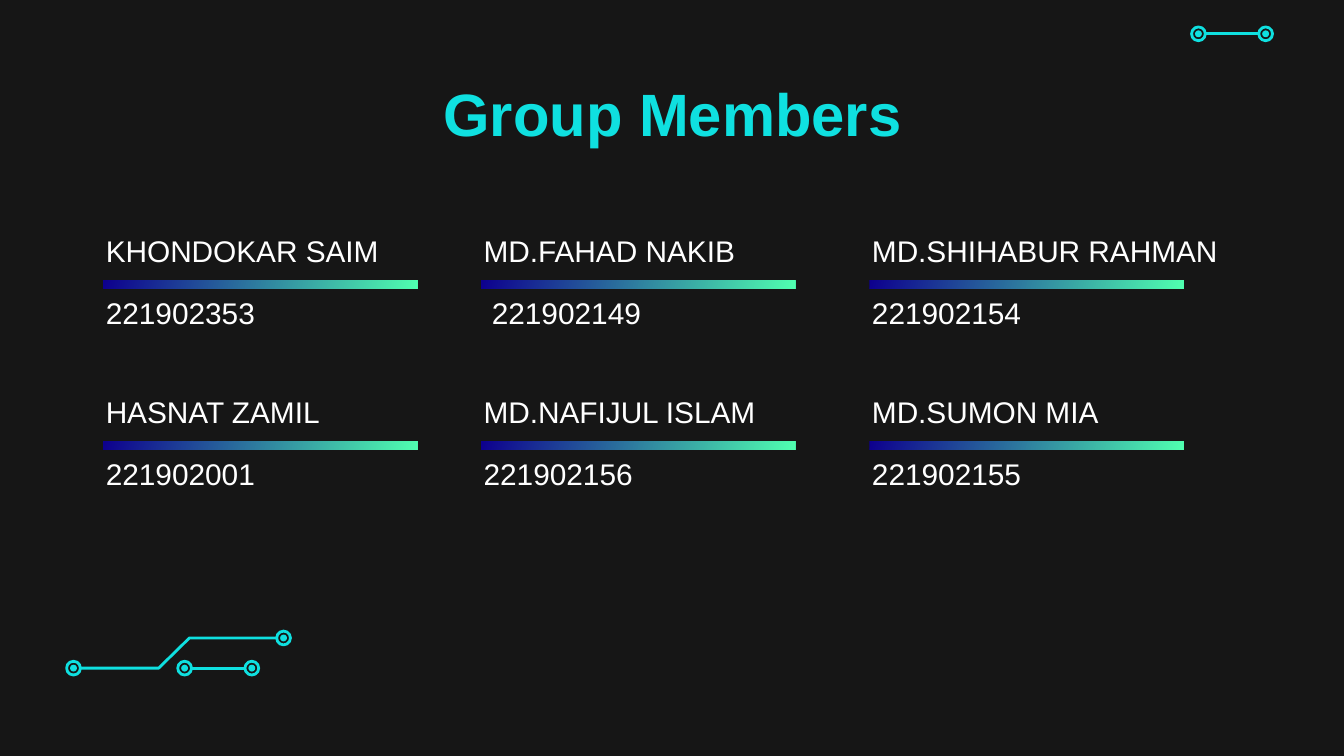
from itertools import product

from lxml.etree import SubElement
from pptx import Presentation
from pptx.dml.color import RGBColor
from pptx.enum.shapes import MSO_CONNECTOR, MSO_SHAPE
from pptx.enum.text import MSO_ANCHOR, PP_ALIGN
from pptx.oxml.ns import qn
from pptx.util import Cm, Pt

CYAN = "0FE0E0"
TITLE_FONT = {"name": "Arial", "size": Pt(32), "bold": True}
MEMBER_FONT = {"name": "Arial", "size": Pt(16), "bold": False}
RING_RADIUS = 0.13
DOT_RADIUS = 0.065
COLUMN_LEFTS = (1.75, 8.89, 16.23)
ROW_TOPS = (4.27, 7.31)
MEMBERS = (
    ("KHONDOKAR SAIM", "221902353"),
    ("MD.FAHAD NAKIB", " 221902149"),
    ("MD.SHIHABUR RAHMAN", "221902154"),
    ("HASNAT ZAMIL", "221902001"),
    ("MD.NAFIJUL ISLAM", "221902156"),
    ("MD.SUMON MIA", "221902155"),
)


def color(hex_string):
    return RGBColor.from_string(hex_string)


def write(text_frame, text, font_values, hex_string):
    paragraph = text_frame.paragraphs[0]
    run = paragraph.add_run()
    run.text = text
    for name, value in font_values.items():
        setattr(run.font, name, value)
    run.font.color.rgb = color(hex_string)
    return paragraph


def draw_line(shape):
    shape.line.color.rgb = color(CYAN)
    shape.line.width = Pt(1.5)


def add_circle(slide, center, radius):
    x, y = center
    circle = slide.shapes.add_shape(
        MSO_SHAPE.OVAL, Cm(x - radius), Cm(y - radius), Cm(2 * radius), Cm(2 * radius)
    )
    circle.shadow.inherit = False
    return circle


def add_node(slide, center):
    ring = add_circle(slide, center, RING_RADIUS)
    ring.fill.background()
    draw_line(ring)
    dot = add_circle(slide, center, DOT_RADIUS)
    dot.fill.solid()
    dot.fill.fore_color.rgb = color(CYAN)
    dot.line.fill.background()


def add_circuit(slide, start, end, bends=()):
    begin_point = (start[0] + RING_RADIUS, start[1])
    end_point = (end[0] - RING_RADIUS, end[1])
    if bends:
        points = [(Cm(x), Cm(y)) for x, y in (begin_point, *bends, end_point)]
        builder = slide.shapes.build_freeform(*points[0])
        builder.add_line_segments(points[1:], close=False)
        trace = builder.convert_to_shape()
        trace.shadow.inherit = False
        trace.fill.background()
    else:
        trace = slide.shapes.add_connector(
            MSO_CONNECTOR.STRAIGHT, *(Cm(value) for value in begin_point + end_point)
        )
    draw_line(trace)
    if not bends:
        SubElement(trace._element.spPr, qn("a:effectLst"))
    for center in (start, end):
        add_node(slide, center)


def add_title(slide, left, top, width, height):
    title = slide.shapes.title
    box = {"left": left, "top": top, "width": width, "height": height}
    for name, value in box.items():
        setattr(title, name, Cm(value))
    title.text_frame.vertical_anchor = MSO_ANCHOR.MIDDLE
    paragraph = write(title.text_frame, "Group Members", TITLE_FONT, CYAN)
    paragraph.alignment = PP_ALIGN.CENTER


def add_member(slide, left, top, width, name, student_id):
    bar = slide.shapes.add_shape(
        MSO_SHAPE.RECTANGLE, Cm(left + 0.2), Cm(top + 1.03), Cm(width - 1.68), Cm(0.16)
    )
    bar.shadow.inherit = False
    bar.line.fill.background()
    bar.fill.gradient()
    bar.fill.gradient_angle = 345
    for stop, hex_string in zip(bar.fill.gradient_stops, ("0D008E", "50FFB0")):
        stop.color.rgb = color(hex_string)
    for text, offset in ((name, 0), (student_id, 1.18)):
        text_box = slide.shapes.add_textbox(
            Cm(left), Cm(top + offset), Cm(width), Cm(0.94)
        )
        text_box.text_frame.word_wrap = True
        write(text_box.text_frame, text, MEMBER_FONT, "FFFFFF")


def main():
    presentation = Presentation()
    presentation.slide_width = Cm(25.4)
    presentation.slide_height = Cm(14.29)
    slide = presentation.slides.add_slide(presentation.slide_layouts[5])
    slide.background.fill.solid()
    slide.background.fill.fore_color.rgb = color("161616")

    add_circuit(slide, (3.49, 12.63), (4.76, 12.63))
    add_circuit(slide, (22.65, 0.64), (23.92, 0.64))
    add_circuit(slide, (1.39, 12.63), (5.36, 12.06), ((3, 12.63), (3.58, 12.06)))
    add_title(slide, 2.01, 1.5, 21.41, 1.27)
    for (top, left), member in zip(product(ROW_TOPS, COLUMN_LEFTS), MEMBERS):
        add_member(slide, left, top, 7.62, *member)

    presentation.save("out.pptx")


if __name__ == "__main__":
    main()
